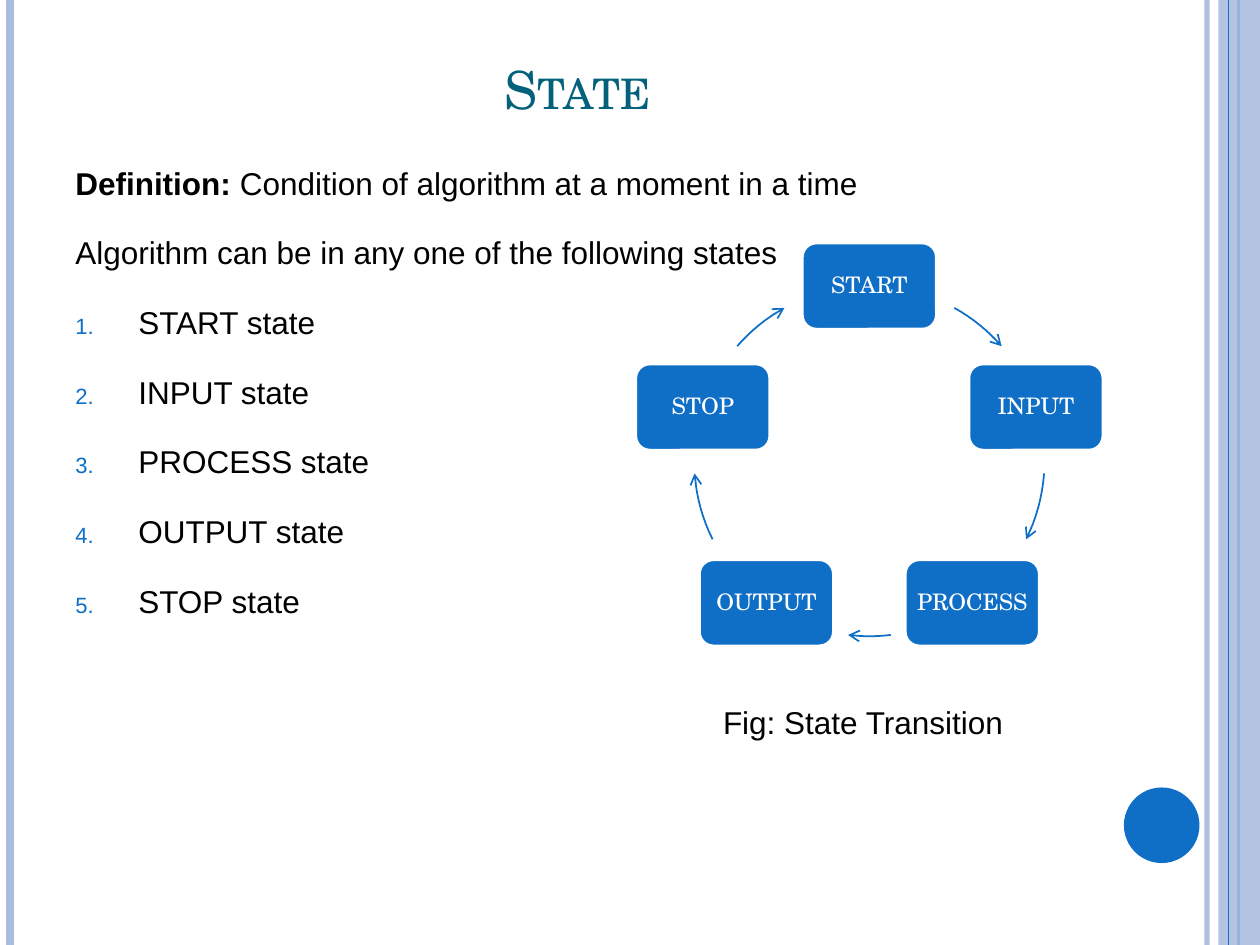
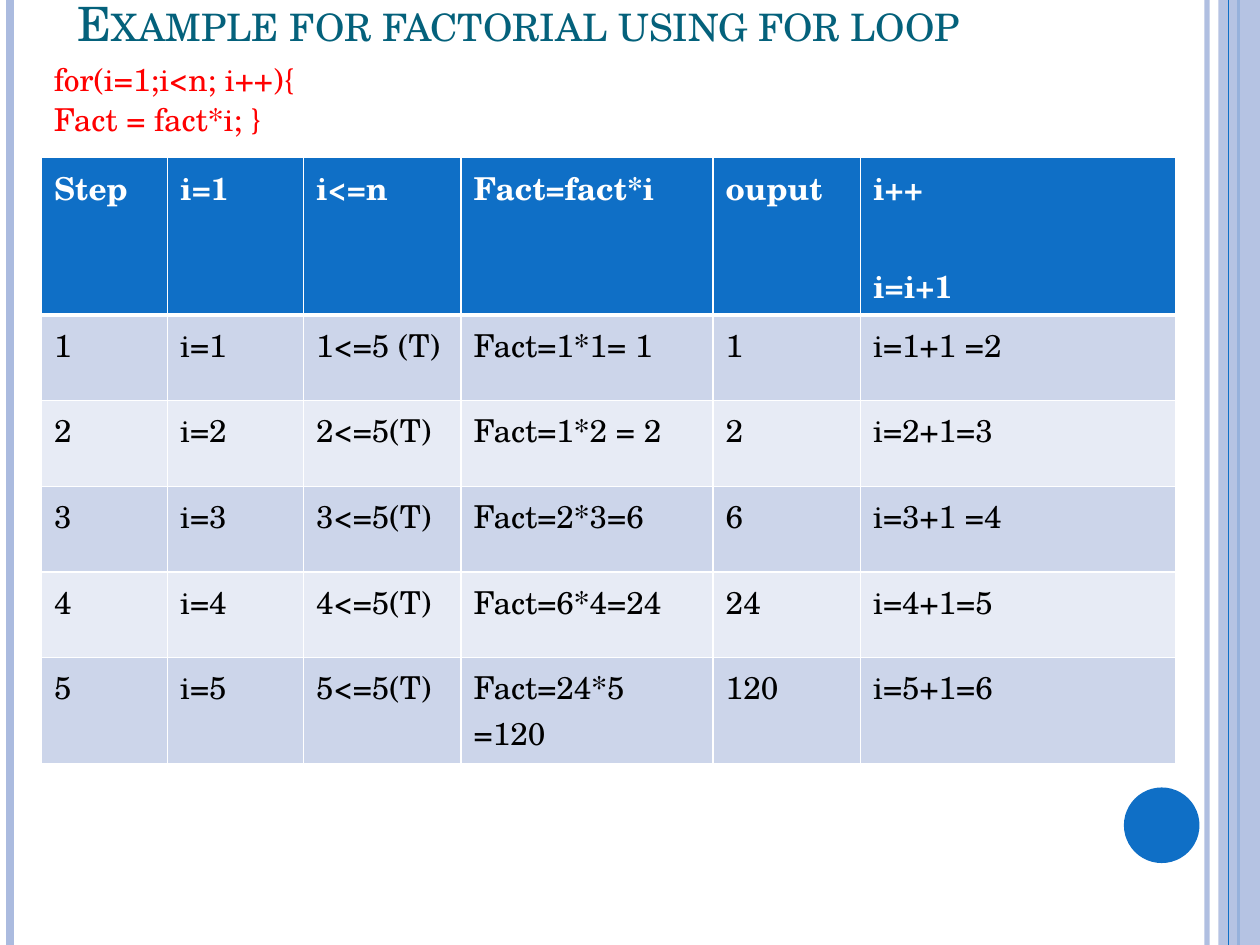
from math import cos, radians, sin

from lxml.etree import SubElement
from pptx import Presentation
from pptx.dml.color import RGBColor
from pptx.enum.shapes import MSO_CONNECTOR, MSO_SHAPE
from pptx.enum.text import MSO_ANCHOR, PP_ALIGN
from pptx.oxml.ns import qn
from pptx.util import Inches, Pt

BLUE = RGBColor(0x0F, 0x6F, 0xC6)
PALE = RGBColor(0xAB, 0xBB, 0xDF)
TEAL = RGBColor(0x04, 0x61, 0x7B)
RED = RGBColor(0xFF, 0x00, 0x00)
BLACK = RGBColor(0x00, 0x00, 0x00)
WHITE = RGBColor(0xFF, 0xFF, 0xFF)
ROW_FILLS = [RGBColor(0xCC, 0xD5, 0xEA), RGBColor(0xE7, 0xEB, 0xF5)]

SERIF = "TeX Gyre Schola"
SANS = "Arial"


class Deck:
    def __init__(self):
        self.prs = Presentation()
        self.prs.slide_width, self.prs.slide_height = Inches(10), Inches(7.5)
        self.s = None

    def new_slide(self):
        """Start a slide with the shared side bands and the circle."""
        self.s = self.prs.slides.add_slide(self.prs.slide_layouts[6])
        self.rule(9.58, PALE, 3, 93)
        self.rule(0.08, PALE, 4.5)
        self.rule(9.83, BLUE, 1.5)
        band = self.shape(MSO_SHAPE.RECTANGLE, 9.67, 0, 0.33, 7.5, PALE)
        self.set_alpha(band, 87)
        self.rule(9.75, BLUE, 0.75)
        self.shape(MSO_SHAPE.OVAL, 8.92, 6.25, 0.6, 0.6, BLUE)

    @staticmethod
    def set_alpha(sp, percent):
        color = sp._element.spPr.find(".//" + qn("a:srgbClr"))
        SubElement(color, qn("a:alpha"), val=str(percent * 1000))

    def rule(self, x, color, width, alpha=None):
        """Full-height vertical line."""
        sp = self.s.shapes.add_connector(
            MSO_CONNECTOR.STRAIGHT, Inches(x), 0, Inches(x), Inches(7.5))
        sp.line.color.rgb = color
        sp.line.width = Pt(width)
        SubElement(sp._element.spPr, qn("a:effectLst"))
        if alpha:
            self.set_alpha(sp, alpha)

    def shape(self, kind, x, y, w, h, fill, line=None):
        sp = self.s.shapes.add_shape(
            kind, Inches(x), Inches(y), Inches(w), Inches(h))
        sp.shadow.inherit = False
        sp.fill.solid()
        sp.fill.fore_color.rgb = fill
        if line:
            sp.line.color.rgb = line
            sp.line.width = Pt(2)
        else:
            sp.line.fill.background()
        return sp

    def run(self, p, text, size, font, color, bold=False):
        r = p.add_run()
        r.text = text
        r.font.size = Pt(size)
        r.font.name = font
        r.font.color.rgb = color
        r.font.bold = bold
        return r

    def textbox(self, x, y, w, h):
        tf = self.s.shapes.add_textbox(
            Inches(x), Inches(y), Inches(w), Inches(h)).text_frame
        tf.word_wrap = True
        return tf

    def paragraph(self, tf, space=0):
        """Next paragraph; the first one takes no space before."""
        p = tf.paragraphs[0]
        if p.runs:
            p = tf.add_paragraph()
            p.space_before = Pt(space)
        return p

    def title(self, text, x, y, h, size, align):
        tf = self.textbox(x, y, 8.17, h)
        tf.vertical_anchor = MSO_ANCHOR.BOTTOM
        p = tf.paragraphs[0]
        p.alignment = align
        r = self.run(p, text, size, SERIF, TEAL)
        r.font._element.set("cap", "small")

    def number(self, p):
        """Automatic number with a hanging indent."""
        pPr = p._p.get_or_add_pPr()
        pPr.set("marL", str(Inches(0.5)))
        pPr.set("indent", str(-Inches(0.5)))
        color = SubElement(pPr, qn("a:buClr"))
        SubElement(color, qn("a:srgbClr"), val=str(BLUE))
        SubElement(pPr, qn("a:buSzPct"), val="70000")
        SubElement(pPr, qn("a:buFont"), typeface=SANS)
        SubElement(pPr, qn("a:buAutoNum"), type="arabicPeriod")

    def state_box(self, text, cx, cy, w=1.07, h=0.69):
        sp = self.shape(MSO_SHAPE.ROUNDED_RECTANGLE,
                        cx - w / 2, cy - h / 2, w, h, BLUE, WHITE)
        tf = sp.text_frame
        tf.margin_left = tf.margin_right = Inches(0.05)
        tf.margin_top = tf.margin_bottom = Inches(0.05)
        tf.vertical_anchor = MSO_ANCHOR.MIDDLE
        p = tf.paragraphs[0]
        p.alignment = PP_ALIGN.CENTER
        p.line_spacing = 0.9
        self.run(p, text, 13, SERIF, WHITE)

    def arc_arrow(self, points):
        start, *rest = [(Inches(x), Inches(y)) for x, y in points]
        builder = self.s.shapes.build_freeform(*start)
        builder.add_line_segments(rest, close=False)
        sp = builder.convert_to_shape()
        sp.shadow.inherit = False
        sp.fill.background()
        sp.line.color.rgb = BLUE
        sp.line.width = Pt(1)
        SubElement(sp.line._get_or_add_ln(), qn("a:tailEnd"), type="arrow")

    def borders(self, cell, top, bottom):
        tcPr = cell._tc.get_or_add_tcPr()
        for side, width in zip("LRTB", (1, 1, top, bottom)):
            ln = SubElement(tcPr, qn("a:ln" + side), w=str(Pt(width)))
            fill = SubElement(ln, qn("a:solidFill"))
            SubElement(fill, qn("a:srgbClr"), val=str(WHITE))

    def table(self, x, y, widths, heights, rows):
        tbl = self.s.shapes.add_table(
            len(rows), len(widths), Inches(x), Inches(y),
            Inches(sum(widths)), Inches(sum(heights))).table
        for col, w in zip(tbl.columns, widths):
            col.width = Inches(w)
        for i, (row, h) in enumerate(zip(rows, heights)):
            tbl.rows[i].height = Inches(h)
            header = i == 0
            for j, text in enumerate(row):
                cell = tbl.cell(i, j)
                self.borders(cell, 3 if i == 1 else 1, 3 if header else 1)
                cell.fill.solid()
                cell.fill.fore_color.rgb = (
                    BLUE if header else ROW_FILLS[(i - 1) % 2])
                for line in text.split("\n"):
                    p = self.paragraph(cell.text_frame, 28)
                    self.run(p, line, 18, SERIF,
                             WHITE if header else BLACK, header)


def state_slide(deck):
    deck.new_slide()
    deck.title("State", 0.5, 0.3, 0.7, 30, PP_ALIGN.CENTER)
    states = ["START", "INPUT", "PROCESS", "OUTPUT", "STOP"]

    # Definition and numbered states
    tf = deck.textbox(0.5, 1.1, 8.83, 4)
    lines = [
        [("Definition: ", True),
         ("Condition of algorithm at a moment in a time", False)],
        [("Algorithm can be in any one of the following states", False)],
    ] + [[(f"{state} state", False)] for state in states]
    for i, runs in enumerate(lines):
        p = deck.paragraph(tf, 7.4)
        p.line_spacing = 1.5
        if i >= 2:
            deck.number(p)
        for text, bold in runs:
            deck.run(p, text, 18, SANS, BLACK, bold)

    # State cycle, angles in degrees clockwise from the top
    def on_circle(angle, cx=6.9, cy=3.66, radius=1.39):
        a = radians(angle)
        return cx + radius * sin(a), cy - radius * cos(a)

    arcs = [(29, 49), (94, 116.5), (173, 187), (243.5, 266), (311, 331)]
    for i, (state, (first, last)) in enumerate(zip(states, arcs)):
        deck.state_box(state, *on_circle(72 * i))
        step = (last - first) / 8
        deck.arc_arrow([on_circle(first + step * k) for k in range(9)])

    # Caption
    p = deck.textbox(5.64, 5.53, 3, 0.4).paragraphs[0]
    deck.run(p, "Fig: State Transition", 18, SANS, BLACK)


def factorial_slide(deck):
    deck.new_slide()
    deck.title("Example for factorial using for loop",
               0.52, 0, 0.45, 27, PP_ALIGN.LEFT)

    # Loop code
    tf = deck.textbox(0.33, 0.43, 9.25, 0.82)
    for line in ["for(i=1;i<n; i++){", "Fact = fact*i; }"]:
        deck.run(deck.paragraph(tf, 0.8), line, 18, SERIF, RED)

    # Trace table
    rows = [
        ["Step", "i=1", "i<=n", "Fact=fact*i", "ouput", "i++\ni=i+1"],
        ["1", "i=1", "1<=5 (T)", "Fact=1*1= 1", "1", "i=1+1 =2"],
        ["2", "i=2", "2<=5(T)", "Fact=1*2 = 2", "2", "i=2+1=3"],
        ["3", "i=3", "3<=5(T)", "Fact=2*3=6", "6", "i=3+1 =4"],
        ["4", "i=4", "4<=5(T)", "Fact=6*4=24", "24", "i=4+1=5"],
        ["5", "i=5", "5<=5(T)", "Fact=24*5 =120", "120", "i=5+1=6"],
    ]
    deck.table(0.33, 1.25, [1, 1.08, 1.25, 2, 1.17, 2.5],
               [1.25] + [0.68] * 4 + [0.84], rows)


def main():
    deck = Deck()
    state_slide(deck)
    factorial_slide(deck)
    deck.prs.save("out.pptx")


if __name__ == "__main__":
    main()
